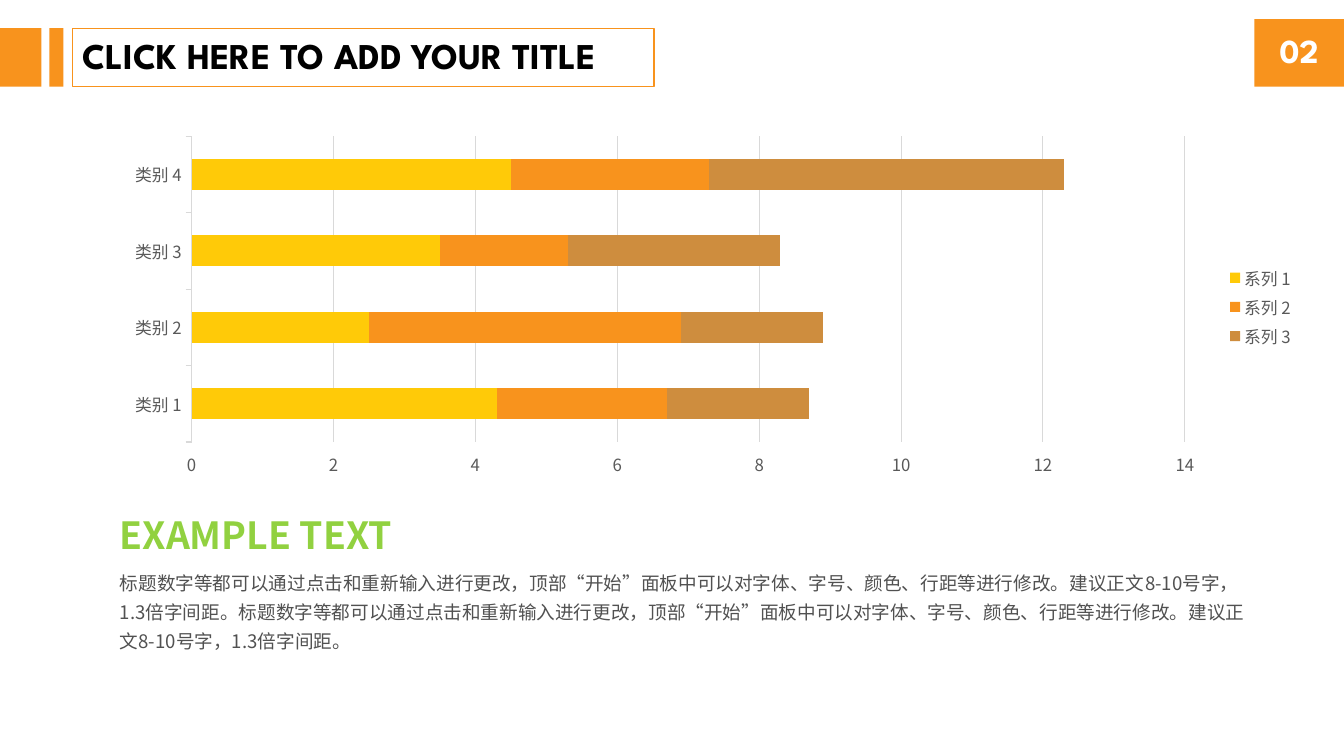
import pptx
import pptx.chart.data
import pptx.dml.color
import pptx.enum.chart
import pptx.enum.shapes
import pptx.enum.text
import pptx.oxml
import pptx.oxml.ns
import pptx.util
from pptx.util import Inches

THEME = {
    "orange": "F8931D", "white": "FFFFFF", "black": "000000", "green": "91D140",
    "body": "515151", "label": "595959", "grid": "D9D9D9",
    "series": ["FFCA08", "F8931D", "CE8D3E"],
    "display": "League Spartan", "text": "Noto Sans CJK SC",
    "title_size": 25.9, "number_size": 24, "heading_size": 26.7,
    "body_size": 13.3, "label_size": 12,
}


def color(name):
    return pptx.dml.color.RGBColor.from_string(THEME.get(name, name))


def style(font, face, size, color_name, bold=False):
    values = {"name": THEME[face], "size": pptx.util.Pt(THEME[size]), "bold": bold}
    for attribute, value in values.items():
        setattr(font, attribute, value)
    font.fill.solid()
    font.fill.fore_color.rgb = color(color_name)


presentation = pptx.Presentation()
presentation.slide_width, presentation.slide_height = Inches(13.34), Inches(7.5)
slide = presentation.slides.add_slide(presentation.slide_layouts[1])
shapes = slide.shapes

# Orange header blocks: two at the left edge, one behind the page number
for left, top, width, height in [
    (0, 0.28, 0.41, 0.58), (0.49, 0.28, 0.14, 0.58), (12.45, 0.19, 0.89, 0.67),
]:
    block = shapes.add_shape(pptx.enum.shapes.MSO_SHAPE.RECTANGLE,
                             Inches(left), Inches(top), Inches(width), Inches(height))
    block.shadow.inherit = False
    block.fill.solid()
    block.fill.fore_color.rgb = color("orange")
    block.line.fill.background()
number_block = block

# Framed title, heading and body text
title, body = shapes.title, slide.placeholders[1]
title.line.color.rgb = color("orange")
title.line.width = pptx.util.Pt(1)
heading = shapes.add_textbox(0, 0, 0, 0)
paragraph_text = (
    "标题数字等都可以通过点击和重新输入进行更改，顶部“开始”面板中可以对字体、字号、"
    "颜色、行距等进行修改。建议正文8-10号字，1.3倍字间距。"
)
middle, upper = pptx.enum.text.MSO_ANCHOR.MIDDLE, pptx.enum.text.MSO_ANCHOR.TOP
left_align, center = pptx.enum.text.PP_ALIGN.LEFT, pptx.enum.text.PP_ALIGN.CENTER
for shape, box, text, font_style, anchor, alignment, spacing in [
    (number_block, (12.45, 0.19, 0.89, 0.67), "02",
     ("display", "number_size", "white", True), middle, center, 0.9),
    (title, (0.72, 0.28, 5.77, 0.58), "CLICK HERE TO ADD YOUR TITLE",
     ("display", "title_size", "black", True), middle, left_align, 0.9),
    (heading, (1.09, 4.81, 3.08, 0.77), "EXAMPLE TEXT",
     ("text", "heading_size", "green", True), upper, left_align, 1.5),
    (body, (1.09, 5.56, 11.4, 0.98), paragraph_text * 2,
     ("text", "body_size", "body"), upper, left_align, 1.3),
]:
    shape.left, shape.top, shape.width, shape.height = map(Inches, box)
    frame = shape.text_frame
    frame.text = text
    frame.word_wrap = True
    frame.auto_size = pptx.enum.text.MSO_AUTO_SIZE.NONE
    frame.vertical_anchor = anchor
    paragraph = frame.paragraphs[0]
    for attribute, value in {"alignment": alignment, "line_spacing": spacing,
                             "space_before": pptx.util.Pt(0)}.items():
        setattr(paragraph, attribute, value)
    font = paragraph.runs[0].font
    style(font, *font_style)

# The body paragraph has no bullet and takes its Chinese font by name
properties = body.text_frame.paragraphs[0]._p.get_or_add_pPr()
properties.set("marL", "0")
properties.set("indent", "0")
namespace = pptx.oxml.ns.nsdecls("a")
properties.append(pptx.oxml.parse_xml(f"<a:buNone {namespace}/>"))
east_asian = f'<a:ea {namespace} typeface="{THEME["text"]}"/>'
font._element.find(pptx.oxml.ns.qn("a:latin")).addnext(pptx.oxml.parse_xml(east_asian))

# Stacked bar chart
data = pptx.chart.data.CategoryChartData()
data.categories = [f"类别 {index}" for index in range(1, 5)]
for index, values in enumerate([(4.3, 2.5, 3.5, 4.5), (2.4, 4.4, 1.8, 2.8), (2, 2, 3, 5)], 1):
    data.add_series(f"系列 {index}", values)
chart = shapes.add_chart(pptx.enum.chart.XL_CHART_TYPE.BAR_STACKED, Inches(1.07),
                         Inches(1.28), Inches(11.88), Inches(3.53), data).chart
chart.has_title = False
chart.has_legend = True
chart.legend.position = pptx.enum.chart.XL_LEGEND_POSITION.RIGHT
chart.legend.include_in_layout = False
plot = chart.plots[0]
plot.gap_width, plot.overlap, plot.vary_by_categories = 150, 100, False
for series, fill in zip(plot.series, THEME["series"]):
    series.format.fill.solid()
    series.format.fill.fore_color.rgb = color(fill)

# Axes and gridlines
category_axis, value_axis = chart.category_axis, chart.value_axis
value_axis.minimum_scale, value_axis.maximum_scale, value_axis.major_unit = 0, 14, 2
category_axis.has_major_gridlines, value_axis.has_major_gridlines = False, True
for line in (category_axis.format.line, value_axis.major_gridlines.format.line):
    line.color.rgb = color("grid")
    line.width = pptx.util.Pt(0.75)
value_axis.format.line.fill.background()
for axis in (category_axis, value_axis):
    axis.major_tick_mark = pptx.enum.chart.XL_TICK_MARK.OUTSIDE
for font in (chart.font, category_axis.tick_labels.font,
             value_axis.tick_labels.font, chart.legend.font):
    style(font, "text", "label_size", "label")
    font._element.find(pptx.oxml.ns.qn("a:latin")).addnext(pptx.oxml.parse_xml(east_asian))

# Plot area as shares of the chart frame
plot_area = chart._chartSpace.chart.plotArea
for layout in plot_area.findall(pptx.oxml.ns.qn("c:layout")):
    plot_area.remove(layout)
parts = '<c:layoutTarget val="inner"/><c:xMode val="edge"/><c:yMode val="edge"/>'
parts += "".join(f'<c:{name} val="{share}"/>' for name, share in
                 {"x": 0.07, "y": 0.02, "w": 0.83, "h": 0.86}.items())
plot_area.insert(0, pptx.oxml.parse_xml(
    f'<c:layout {pptx.oxml.ns.nsdecls("c")}><c:manualLayout>{parts}</c:manualLayout></c:layout>'))

presentation.save("out.pptx")
